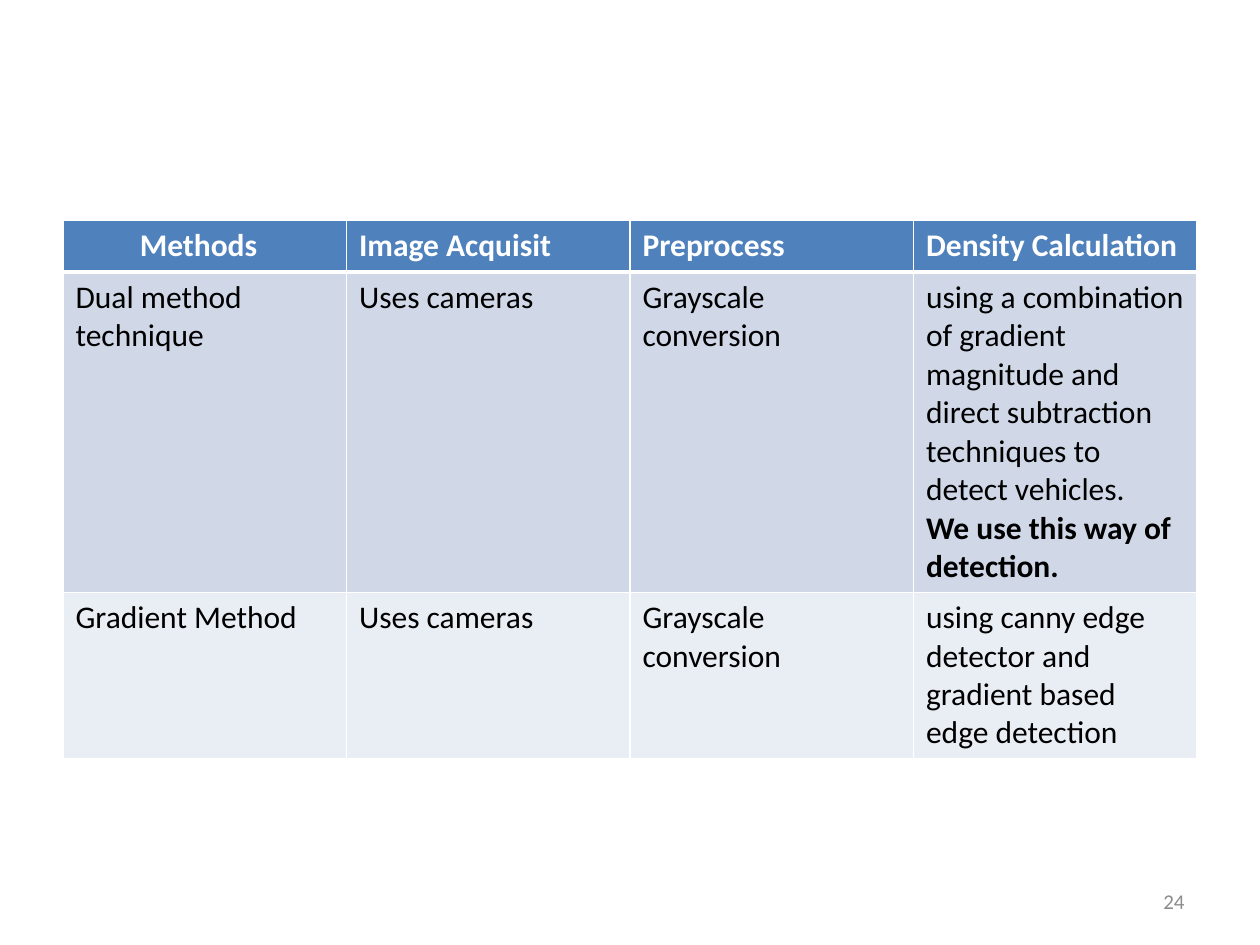
from pptx import Presentation
from pptx.dml.color import RGBColor
from pptx.enum.text import MSO_ANCHOR, PP_ALIGN
from pptx.oxml.xmlchemy import OxmlElement
from pptx.util import Inches, Pt

HEADINGS = ["Methods", "Image Acquisit", "Preprocess", "Density Calculation"]
METHODS = [
    ["Dual method technique", "Uses cameras", "Grayscale conversion",
     "using a combination of gradient magnitude and direct subtraction "
     "techniques to detect vehicles.\nWe use this way of detection."],
    ["Gradient Method", "Uses cameras", "Grayscale conversion",
     "using canny edge detector and gradient based edge detection"],
]
EMPHASIS = "We use this way of detection."
PAGE_NUMBER = "24"

FONT = "Calibri"
WHITE = RGBColor(0xFF, 0xFF, 0xFF)
BLACK = RGBColor(0x00, 0x00, 0x00)
GRAY = RGBColor(0x8C, 0x8C, 0x8C)
HEADER_BLUE = RGBColor(0x4F, 0x81, 0xBD)
BANDS = [RGBColor(0xD0, 0xD8, 0xE8), RGBColor(0xE9, 0xED, 0xF4)]

SLIDE_WIDTH, SLIDE_HEIGHT = Inches(10), Inches(7.5)
MARGIN = Inches(0.5)
TABLE_TOP = Inches(1.75)
ROW_HEIGHTS = [0.41, 2.53, 1.31]
HEADING_INDENT = Inches(0.61)


def add_run(paragraph, text, size, color, bold=False):
    run = paragraph.add_run()
    run.text = text
    run.font.name = FONT
    run.font.size = Pt(size)
    run.font.bold = bold
    run.font.color.rgb = color


def add_border(cell, side, width):
    line = OxmlElement(f"a:ln{side}")
    line.set("w", str(Pt(width)))
    fill = OxmlElement("a:solidFill")
    color = OxmlElement("a:srgbClr")
    color.set("val", str(WHITE))
    fill.append(color)
    line.append(fill)
    cell._tc.get_or_add_tcPr().append(line)


def fill_cell(cell, text, row):
    header = row == 0
    for side in "LRTB":
        heavy = (header and side == "B") or (row == 1 and side == "T")
        add_border(cell, side, 3 if heavy else 1)
    cell.fill.solid()
    cell.fill.fore_color.rgb = HEADER_BLUE if header else BANDS[row - 1]
    frame = cell.text_frame
    for index, line in enumerate(text.split("\n")):
        paragraph = frame.add_paragraph() if index else frame.paragraphs[0]
        add_run(paragraph, line, 18, WHITE if header else BLACK,
                header or line == EMPHASIS)


def add_methods_table(slide):
    rows = [HEADINGS] + METHODS
    width = SLIDE_WIDTH - 2 * MARGIN
    table = slide.shapes.add_table(
        len(rows), len(HEADINGS), MARGIN, TABLE_TOP, width,
        Inches(sum(ROW_HEIGHTS))).table
    for column in table.columns:
        column.width = width // len(HEADINGS)
    for row, (texts, height) in enumerate(zip(rows, ROW_HEIGHTS)):
        table.rows[row].height = Inches(height)
        for column, text in enumerate(texts):
            fill_cell(table.cell(row, column), text, row)
    table.cell(0, 0).margin_left = HEADING_INDENT


def add_page_number(slide):
    width = Inches(2.33)
    footer = slide.shapes.add_textbox(
        SLIDE_WIDTH - MARGIN - width, Inches(6.95), width, Inches(0.4))
    frame = footer.text_frame
    frame.word_wrap = True
    frame.vertical_anchor = MSO_ANCHOR.MIDDLE
    frame.paragraphs[0].alignment = PP_ALIGN.RIGHT
    add_run(frame.paragraphs[0], PAGE_NUMBER, 12, GRAY)


def main():
    deck = Presentation()
    deck.slide_width, deck.slide_height = SLIDE_WIDTH, SLIDE_HEIGHT
    slide = deck.slides.add_slide(deck.slide_layouts[6])
    add_methods_table(slide)
    add_page_number(slide)
    deck.save("out.pptx")


if __name__ == "__main__":
    main()
